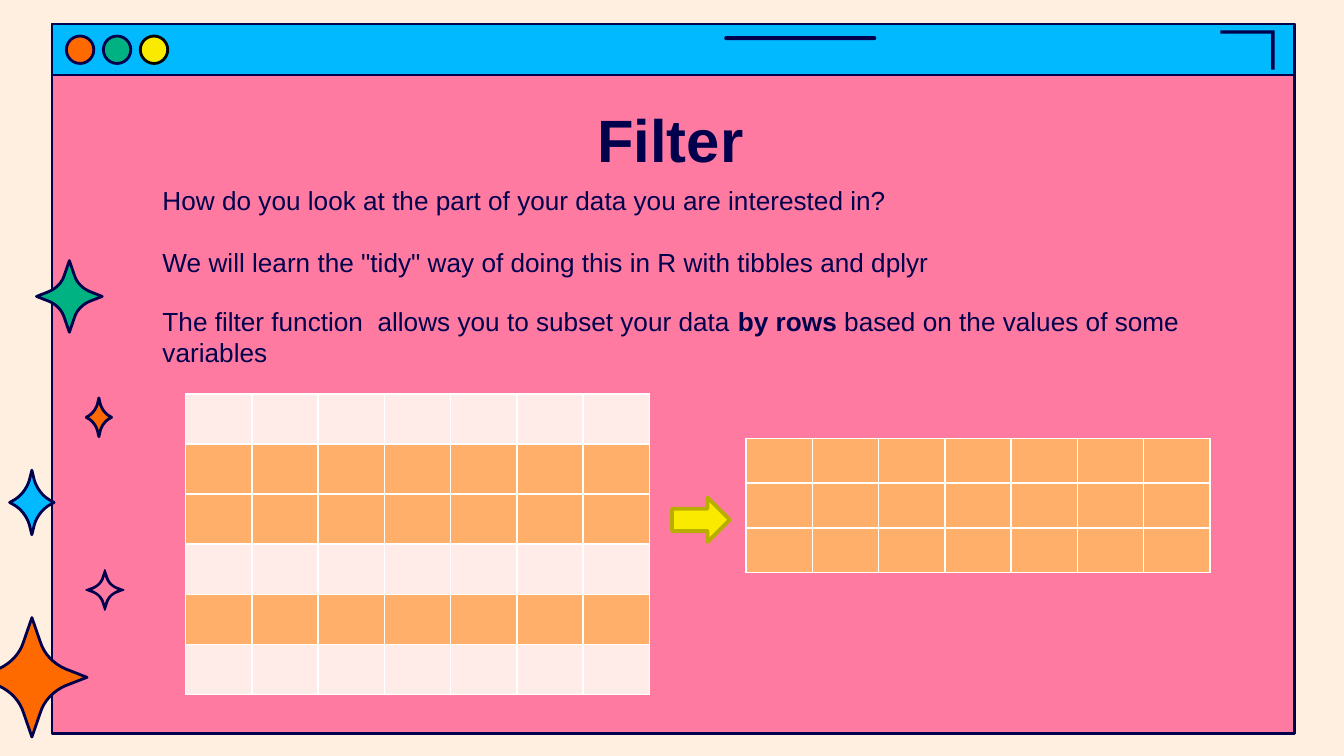
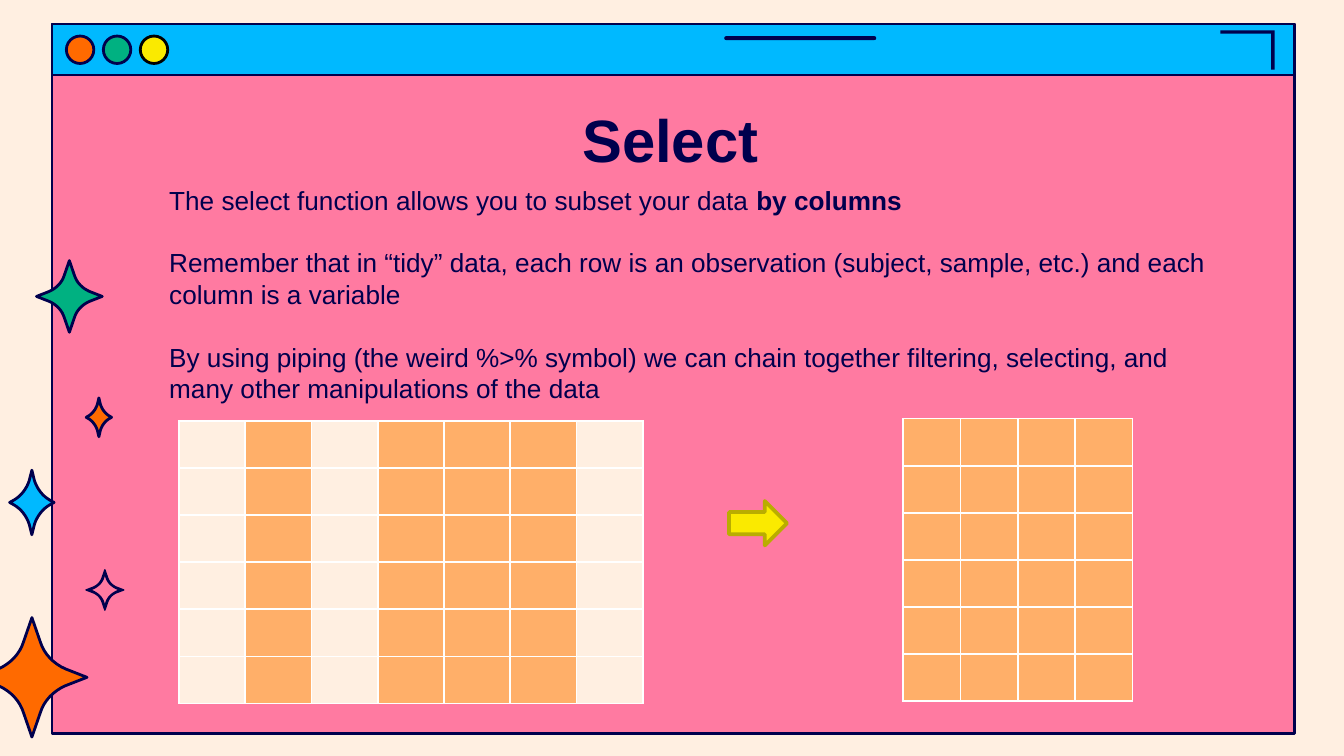
from dataclasses import dataclass

import lxml.etree
import pptx
import pptx.dml.color
import pptx.enum.shapes
import pptx.enum.text
import pptx.oxml
import pptx.oxml.ns
import pptx.util

Pt = pptx.util.Pt
SHAPES = pptx.enum.shapes.MSO_SHAPE
FONT = "Arial"
COLORS = {
    "cream": "FFEFE1", "pink": "FF7AA1", "navy": "00004D", "sky": "00B9FF",
    "green": "00B181", "yellow": "FAEA00", "orange": "FF6A00", "black": "000000",
    "olive": "B9AD00", "kept": "FFAF69", "rose": "FFEBE7", "white": "FFFFFF",
}

# One arm of a star: the four Bezier points between its top and side tips,
# as fractions of the half width and half height
WIDE = ((0.15, 0.6), (0.22, 0.39), (0.39, 0.23), (0.61, 0.14))
TIGHT = ((0.12, 0.67), (0.24, 0.42), (0.48, 0.21), (0.79, 0.08))
CURVE_STEPS = 8

Point = tuple[float, float]


@dataclass(frozen=True)
class Light:
    center_x: float
    fill: str
    line: str = "navy"


@dataclass(frozen=True)
class Star:
    x: float
    y: float
    half_width: float
    half_height: float
    fill: str
    arm: tuple[Point, ...] = WIDE
    rim: float = 0
    line_width: float = 1.5


@dataclass(frozen=True)
class Grid:
    left: float
    top: float
    column_width: float
    row_height: float
    rows: str       # one mark per row, "x" when the row is kept
    columns: str    # one mark per column, "x" when the column is kept
    dropped: str = "cream"


@dataclass(frozen=True)
class Lesson:
    title: str
    indent: float
    paragraphs: tuple[tuple[float, str], ...]  # space before, text with *bold*
    grids: tuple[Grid, Grid]
    arrow: Point


LIGHTS = (Light(42.9, "orange"), Light(62.7, "green"), Light(82.5, "yellow", "black"))

STARS = (
    Star(17.1, 269.2, 11.9, 17.3, "sky", TIGHT),
    Star(56.2, 316.1, 10.1, 10.8, "navy", rim=2.2, line_width=0.75),
    Star(17.1, 362.9, 29.5, 32, "orange"),
    Star(37.2, 158.8, 17.6, 19.2, "green"),
    Star(53, 223.6, 6.8, 10.4, "orange", TIGHT),
)

LESSONS = (
    Lesson(
        "Filter", 8.6,
        (
            (0, "How do you look at the part of your data you are interested in?"),
            (16.8, 'We will learn the "tidy" way of doing this in R with tibbles and dplyr'),
            (14.4, "The filter function  allows you to subset your data *by rows* "
                   "based on the values of some variables"),
        ),
        (
            Grid(99.4, 211, 35.5, 26.85, "-xx-x-", "x" * 7, "rose"),
            Grid(399.7, 235, 35.5, 23.9, "x" * 3, "x" * 7),
        ),
        (360, 266.6),
    ),
    Lesson(
        "Select", 12.2,
        (
            (0, "The select function allows you to subset your data *by columns*"),
            (16.8, "Remember that in “tidy” data, each row is an observation "
                   "(subject, sample, etc.) and each column is a variable"),
            (16.8, "By using piping (the weird %>% symbol) we can chain together "
                   "filtering, selecting, and many other manipulations of the data"),
        ),
        (
            Grid(95.9, 225.6, 35.5, 25.2, "x" * 6, "-x-xxx-"),
            Grid(483.8, 224.3, 30.75, 25.2, "x" * 6, "x" * 4),
        ),
        (390.6, 268.4),
    ),
)


def rgb(name: str) -> pptx.dml.color.RGBColor:
    return pptx.dml.color.RGBColor.from_string(COLORS[name])


def paint(shape, fill: str, line: str | None = "navy", width: float = 1.5) -> None:
    shape.shadow.inherit = False
    shape.fill.solid()
    shape.fill.fore_color.rgb = rgb(fill)
    if line is None:
        shape.line.fill.background()
        return
    shape.line.color.rgb = rgb(line)
    shape.line.width = Pt(width)
    outline = shape.element.spPr.find(pptx.oxml.ns.qn("a:ln"))
    lxml.etree.SubElement(outline, pptx.oxml.ns.qn("a:round"))


def add_preset(page, kind, left: float, top: float, width: float, height: float):
    return page.shapes.add_shape(kind, Pt(left), Pt(top), Pt(width), Pt(height))


def add_outline(page, *contours: list[Point]):
    scaled = [[(Pt(x), Pt(y)) for x, y in contour] for contour in contours]
    builder = page.shapes.build_freeform(*scaled[0][0])
    builder.add_line_segments(scaled[0][1:], close=True)
    for contour in scaled[1:]:
        builder.move_to(*contour[0])
        builder.add_line_segments(contour[1:], close=True)
    return builder.convert_to_shape()


def bezier(points: tuple[Point, ...], t: float) -> Point:
    weights = ((1 - t) ** 3, 3 * t * (1 - t) ** 2, 3 * t * t * (1 - t), t ** 3)
    return (sum(w * p[0] for w, p in zip(weights, points)),
            sum(w * p[1] for w, p in zip(weights, points)))


def star_contour(star: Star, arm: tuple[Point, ...], inset: float = 0) -> list[Point]:
    curve = [bezier(arm, step / CURVE_STEPS) for step in range(CURVE_STEPS + 1)]
    quarter = [(0, 1), *curve, (1, 0)]
    half = quarter + [(x, -y) for x, y in reversed(quarter[:-1])]
    whole = half + [(-x, y) for x, y in reversed(half[1:-1])]
    return [(star.x + x * (star.half_width - inset), star.y - y * (star.half_height - inset))
            for x, y in whole]


def draw_star(page, star: Star) -> None:
    contours = [star_contour(star, star.arm)]
    if star.rim:
        contours.append(star_contour(star, TIGHT, star.rim))
    paint(add_outline(page, *contours), star.fill, width=star.line_width)


def draw_window(page) -> None:
    # Window and its title bar
    for height, fill in ((380.3, "pink"), (27.3, "sky")):
        paint(add_preset(page, SHAPES.RECTANGLE, 27.8, 12.9, 665.5, height), fill)
    # Corner mark and highlight
    corner = [(653.8, 16.3), (682.8, 16.3), (682.8, 37.4),
              (681, 37.4), (681, 18.1), (653.8, 18.1)]
    paint(add_outline(page, corner), "navy", None)
    highlight = add_preset(page, SHAPES.ROUNDED_RECTANGLE, 388, 19.4, 81.4, 2.1)
    highlight.adjustments[0] = 0.5
    paint(highlight, "navy", None)
    # Window buttons
    size = 14.7
    for light in LIGHTS:
        button = add_preset(page, SHAPES.OVAL, light.center_x - size / 2, 19.3, size, size)
        paint(button, light.fill, light.line)
    for star in STARS:
        draw_star(page, star)


def style_span(span, size: float, bold: bool) -> None:
    span.font.name = FONT
    span.font.size = Pt(size)
    span.font.bold = bold
    span.font.color.rgb = rgb("navy")


def prepare_frame(box, margin_left: float = 7.2):
    frame = box.text_frame
    frame.word_wrap = True
    frame.auto_size = pptx.enum.text.MSO_AUTO_SIZE.NONE
    frame.vertical_anchor = pptx.enum.text.MSO_ANCHOR.TOP
    frame.margin_left = Pt(margin_left)
    frame.margin_top = frame.margin_right = frame.margin_bottom = Pt(7.2)
    return frame


def set_title(page, text: str) -> None:
    title = page.shapes.title
    title.left, title.top, title.width, title.height = Pt(54.7), Pt(46.1), Pt(609), Pt(45.4)
    page.shapes.element.append(title.element)  # bring in front of the window
    frame = prepare_frame(title)
    frame.text = text
    para = frame.paragraphs[0]
    para.alignment = pptx.enum.text.PP_ALIGN.CENTER
    para.line_spacing = Pt(40)
    style_span(para.runs[0], 32, True)


def add_body(page, lesson: Lesson) -> None:
    box = page.shapes.add_textbox(Pt(71.3), Pt(91.4), Pt(583.2), Pt(252.7))
    frame = prepare_frame(box, 7.2 + lesson.indent)
    for index, (space, text) in enumerate(lesson.paragraphs):
        para = frame.add_paragraph() if index else frame.paragraphs[0]
        para.line_spacing = Pt(16.8)
        para.space_before = Pt(space)
        for part, words in enumerate(text.split("*")):
            if words:
                span = para.add_run()
                span.text = words
                style_span(span, 14, part % 2 == 1)


def add_borders(cell) -> None:
    properties = cell._tc.get_or_add_tcPr()
    for position, side in enumerate(("lnL", "lnR", "lnT", "lnB")):
        border = pptx.oxml.parse_xml(
            f'<a:{side} {pptx.oxml.ns.nsdecls("a")} w="{Pt(1)}"><a:solidFill>'
            f'<a:srgbClr val="{COLORS["white"]}"/></a:solidFill></a:{side}>')
        properties.insert(position, border)


def add_grid(page, grid: Grid) -> None:
    rows, columns = len(grid.rows), len(grid.columns)
    table = page.shapes.add_table(
        rows, columns, Pt(grid.left), Pt(grid.top),
        Pt(columns * grid.column_width), Pt(rows * grid.row_height)).table
    table.first_row = table.horz_banding = False
    for column in table.columns:
        column.width = Pt(grid.column_width)
    for row, row_mark in zip(table.rows, grid.rows):
        row.height = Pt(grid.row_height)
        for cell, column_mark in zip(row.cells, grid.columns):
            kept = row_mark == column_mark == "x"
            cell.margin_top = cell.margin_bottom = 0
            cell.fill.solid()
            cell.fill.fore_color.rgb = rgb("kept" if kept else grid.dropped)
            add_borders(cell)


def build_lesson(deck, lesson: Lesson) -> None:
    page = deck.slides.add_slide(deck.slide_layouts.get_by_name("Title Only"))
    draw_window(page)
    set_title(page, lesson.title)
    add_body(page, lesson)
    for grid in lesson.grids:
        add_grid(page, grid)
    arrow = add_preset(page, SHAPES.RIGHT_ARROW, *lesson.arrow, 31, 23.8)
    paint(arrow, "yellow", "olive", 2)


def main() -> None:
    deck = pptx.Presentation()
    deck.slide_width, deck.slide_height = Pt(720), Pt(405)
    background = deck.slide_master.background.fill
    background.solid()
    background.fore_color.rgb = rgb("cream")
    for lesson in LESSONS:
        build_lesson(deck, lesson)
    deck.save("out.pptx")


if __name__ == "__main__":
    main()
